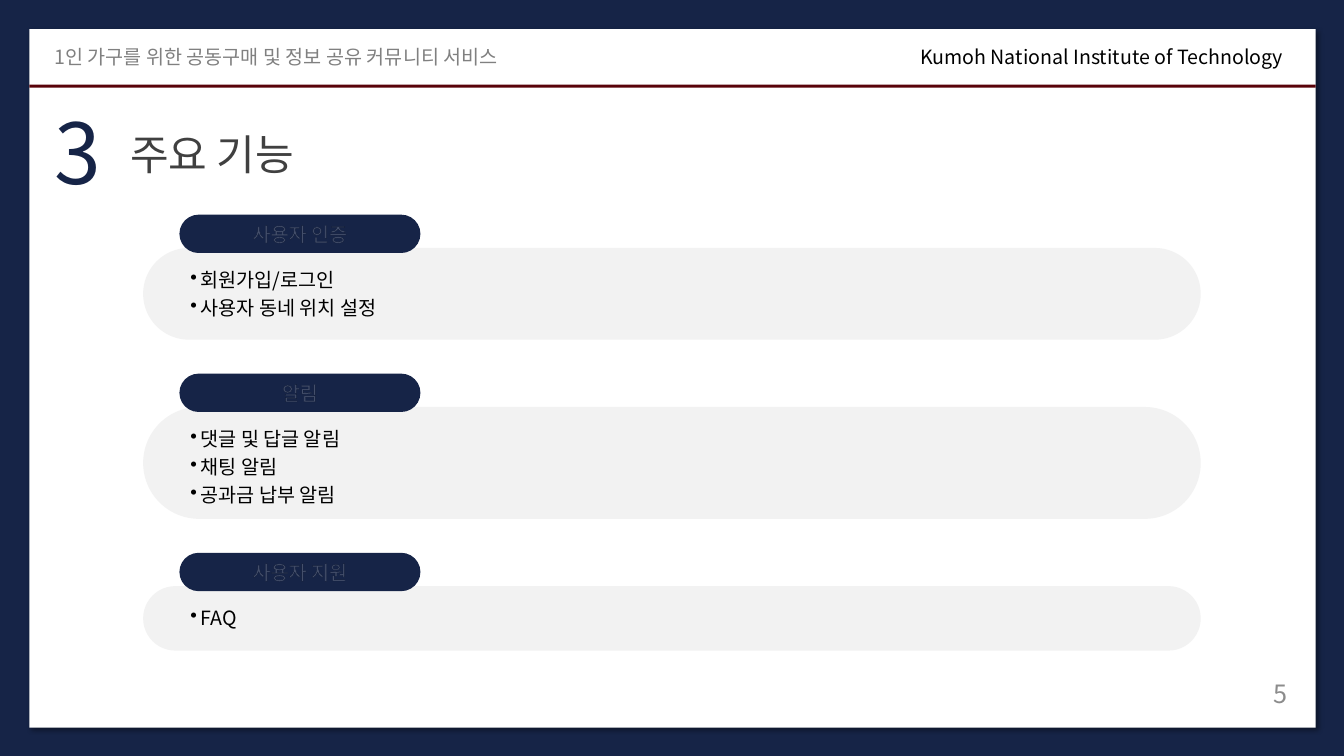
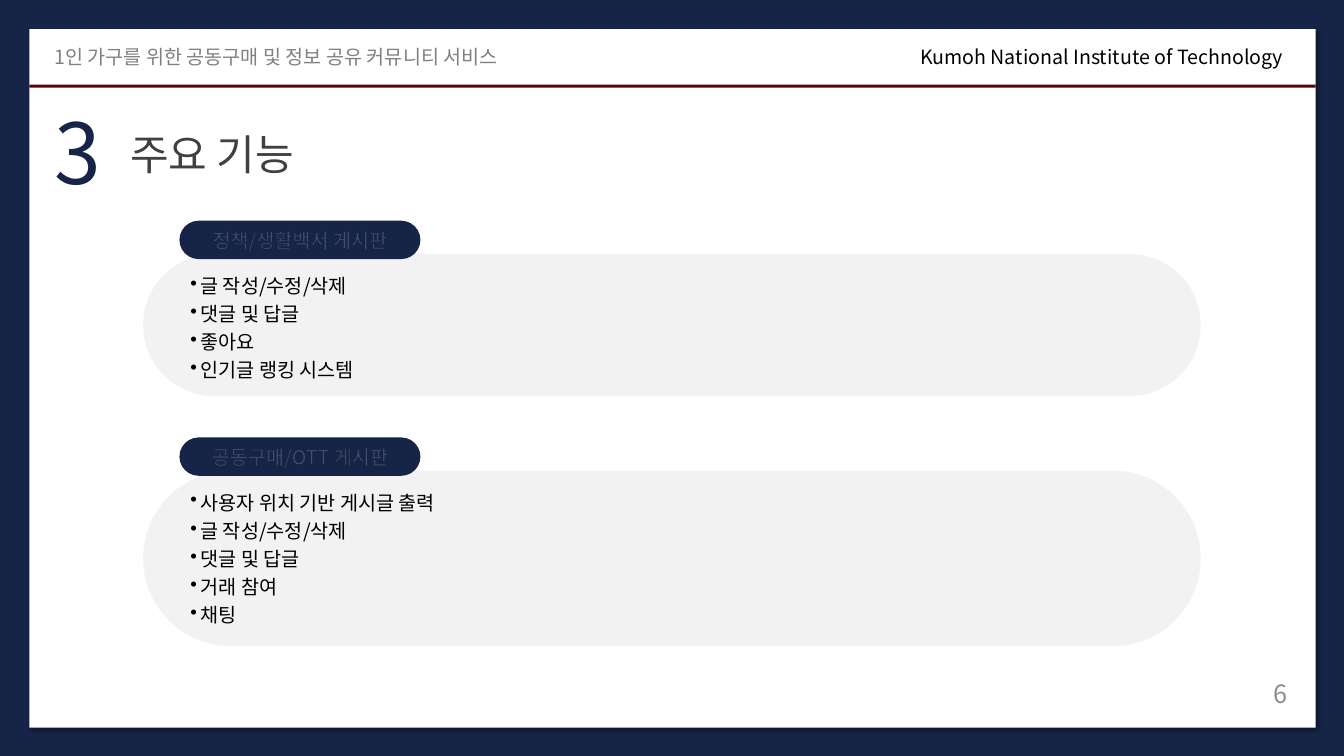
from dataclasses import dataclass
from typing import Any

from lxml import etree
from pptx import Presentation
from pptx import util as u
from pptx.dml.color import RGBColor
from pptx.enum import shapes, text
from pptx.oxml import ns

# Shared look
FONT = "Noto Sans CJK KR"
NAVY = RGBColor(0x16, 0x24, 0x47)
MAROON = RGBColor(0x59, 0x02, 0x09)
WHITE = RGBColor(0xFF, 0xFF, 0xFF)
BLACK = RGBColor(0x00, 0x00, 0x00)
PANEL_GRAY = RGBColor(0xF2, 0xF2, 0xF2)
TITLE_GRAY = RGBColor(0x40, 0x40, 0x40)
HEADER_GRAY = RGBColor(0x80, 0x80, 0x80)
NUMBER_GRAY = RGBColor(0x8C, 0x8C, 0x8C)

WIDTH, HEIGHT = u.Inches(13.33), u.Inches(7.5)
RECT = shapes.MSO_SHAPE.RECTANGLE
ROUND = shapes.MSO_SHAPE.ROUNDED_RECTANGLE
LEFT, RIGHT = text.PP_ALIGN.LEFT, text.PP_ALIGN.RIGHT
CENTER, JUSTIFY = text.PP_ALIGN.CENTER, text.PP_ALIGN.JUSTIFY
TOP, MIDDLE = text.MSO_ANCHOR.TOP, text.MSO_ANCHOR.MIDDLE
FIT, FIXED = text.MSO_AUTO_SIZE.SHAPE_TO_FIT_TEXT, text.MSO_AUTO_SIZE.NONE


@dataclass(frozen=True)
class Area:
    """Left, top, width and height in percent of the slide."""
    left: float
    top: float
    width: float
    height: float

    def lengths(self) -> dict[str, int]:
        return {
            "left": int(WIDTH * self.left / 100),
            "top": int(HEIGHT * self.top / 100),
            "width": int(WIDTH * self.width / 100),
            "height": int(HEIGHT * self.height / 100),
        }


@dataclass(frozen=True)
class Style:
    size: int
    color: RGBColor
    align: text.PP_ALIGN = JUSTIFY
    anchor: text.MSO_ANCHOR = MIDDLE
    wrap: bool = True
    fit: text.MSO_AUTO_SIZE = FIXED
    outlined: bool = True
    bulleted: bool = False


@dataclass(frozen=True)
class Section:
    name: str
    height: float
    items: tuple[str, ...]


@dataclass(frozen=True)
class Page:
    number: int
    top: float
    gap: float
    sections: tuple[Section, ...]


TITLE = Style(30, TITLE_GRAY, fit=FIT)
CHAPTER = Style(60, NAVY, LEFT, TOP, wrap=False, fit=FIT, outlined=False)
NUMBER = Style(18, NUMBER_GRAY, RIGHT, outlined=False)
SERVICE = Style(14, HEADER_GRAY, wrap=False)
SCHOOL = Style(14, BLACK, RIGHT, wrap=False)
PILL = Style(14, WHITE, CENTER)
ITEMS = Style(14, BLACK, anchor=TOP, bulleted=True)

# Shares of the slide used by every section
PANEL_LEFT, PANEL_WIDTH = 10.65, 78.69
PILL_LEFT, PILL_WIDTH, PILL_HEIGHT = 13.35, 17.93, 5.07
LIST_LEFT, LIST_WIDTH, LIST_INSET = 13.43, 51.31, 1.33
PANEL_DROP = 4.4

PAGES = (
    Page(5, 28.4, 4.5, (
        Section("사용자 인증", 12.13, ("회원가입/로그인", "사용자 동네 위치 설정")),
        Section("알림", 14.8, ("댓글 및 답글 알림", "채팅 알림", "공과금 납부 알림")),
        Section("사용자 지원", 8.53, ("FAQ",)),
    )),
    Page(6, 29.2, 5.47, (
        Section("정책/생활백서 게시판", 18.8,
                ("글 작성/수정/삭제", "댓글 및 답글", "좋아요", "인기글 랭킹 시스템")),
        Section("공동구매/OTT 게시판", 23.2,
                ("사용자 위치 기반 게시글 출력", "글 작성/수정/삭제", "댓글 및 답글",
                 "거래 참여", "채팅")),
    )),
)


# Drawing helpers
def assign(target: Any, values: dict[str, Any]) -> None:
    for name, value in values.items():
        setattr(target, name, value)


def add_node(parent: Any, tag: str, **attributes: str) -> Any:
    return etree.SubElement(parent, ns.qn(tag), attributes)


def add_color(parent: Any, color: RGBColor, alpha: int) -> None:
    node = add_node(parent, "a:srgbClr", val=str(color))
    add_node(node, "a:alpha", val=str(alpha * 1000))


def add_outline(properties: Any) -> None:
    line = add_node(properties, "a:ln", w=str(u.Pt(0.75)))
    add_color(add_node(line, "a:solidFill"), BLACK, 20)
    properties.insert(0, line)


def write(box: Any, lines: tuple[str, ...], style: Style) -> None:
    frame = box.text_frame
    assign(frame, {"word_wrap": style.wrap, "auto_size": style.fit,
                   "vertical_anchor": style.anchor})
    for index, line in enumerate(lines):
        para = frame.add_paragraph() if index else frame.paragraphs[0]
        para.alignment = style.align
        if style.bulleted:
            properties = para._p.get_or_add_pPr()
            indent = u.Inches(0.1)
            properties.set("marL", str(indent))
            properties.set("indent", str(-indent))
            add_node(properties, "a:buChar", char="•")
            para.line_spacing = 1.2
        span = para.add_run()
        span.text = line
        assign(span.font, {"size": u.Pt(style.size), "name": FONT})
        span.font.color.rgb = style.color
        properties = span._r.get_or_add_rPr()
        add_node(properties, "a:ea", typeface=FONT)
        if style.outlined:
            add_outline(properties)


def add_text(parent: Any, area: Area, lines: tuple[str, ...], style: Style) -> None:
    write(parent.add_textbox(**area.lengths()), lines, style)


def add_block(parent: Any, kind: shapes.MSO_SHAPE, area: Area, color: RGBColor) -> Any:
    block = parent.add_shape(kind, **area.lengths())
    block.shadow.inherit = False
    block.fill.solid()
    block.fill.fore_color.rgb = color
    block.line.fill.background()
    if kind == ROUND:
        block.adjustments[0] = 0.5
    return block


# Slide parts
def draw_frame(page: Any, number: int) -> None:
    sheet = add_block(page.shapes, RECT, Area(2.18, 3.87, 95.72, 92.4), WHITE)
    effects = sheet._element.spPr.find(ns.qn("a:effectLst"))
    shadow = add_node(effects, "a:outerShdw", blurRad=str(u.Pt(4)), dist=str(u.Pt(3)),
                      dir=str(45 * 60000), algn="tl", rotWithShape="0")
    add_color(shadow, BLACK, 40)
    add_block(page.shapes, RECT, Area(2.18, 11.2, 95.72, 0.4), MAROON)

    # The title comes in front of the sheet
    title = page.shapes.title
    page.shapes._spTree.append(title._element)
    assign(title, Area(8.93, 16.27, 32.33, 8.13).lengths())
    write(title, ("주요 기능",), TITLE)

    for area, line, style in (
        (Area(3.3, 12.67, 5.4, 14.8), "3", CHAPTER),
        (Area(74.04, 89.07, 22.51, 5.33), str(number), NUMBER),
        (Area(3.3, 5.07, 34.28, 4.93),
         "1인 가구를 위한 공동구매 및 정보 공유 커뮤니티 서비스", SERVICE),
        (Area(61.97, 5.07, 34.28, 4.93), "Kumoh National Institute of Technology", SCHOOL),
    ):
        add_text(page.shapes, area, (line,), style)


def draw_section(page: Any, section: Section, top: float) -> float:
    """Draw one section and return its bottom edge."""
    group = page.shapes.add_group_shape().shapes
    panel_top = top + PANEL_DROP
    add_block(group, ROUND, Area(PANEL_LEFT, panel_top, PANEL_WIDTH, section.height),
              PANEL_GRAY)
    add_text(group, Area(LIST_LEFT, panel_top + LIST_INSET, LIST_WIDTH,
                         section.height - 2 * LIST_INSET), section.items, ITEMS)
    pill = add_block(group, ROUND, Area(PILL_LEFT, top, PILL_WIDTH, PILL_HEIGHT), NAVY)
    write(pill, (section.name,), PILL)
    return panel_top + section.height


def main() -> None:
    deck = Presentation()
    assign(deck, {"slide_width": WIDTH, "slide_height": HEIGHT})
    backdrop = deck.slide_master.background.fill
    backdrop.solid()
    backdrop.fore_color.rgb = NAVY
    for content in PAGES:
        page = deck.slides.add_slide(deck.slide_layouts.get_by_name("Title Only"))
        draw_frame(page, content.number)
        top = content.top
        for section in content.sections:
            top = draw_section(page, section, top) + content.gap
    deck.save("out.pptx")


if __name__ == "__main__":
    main()
